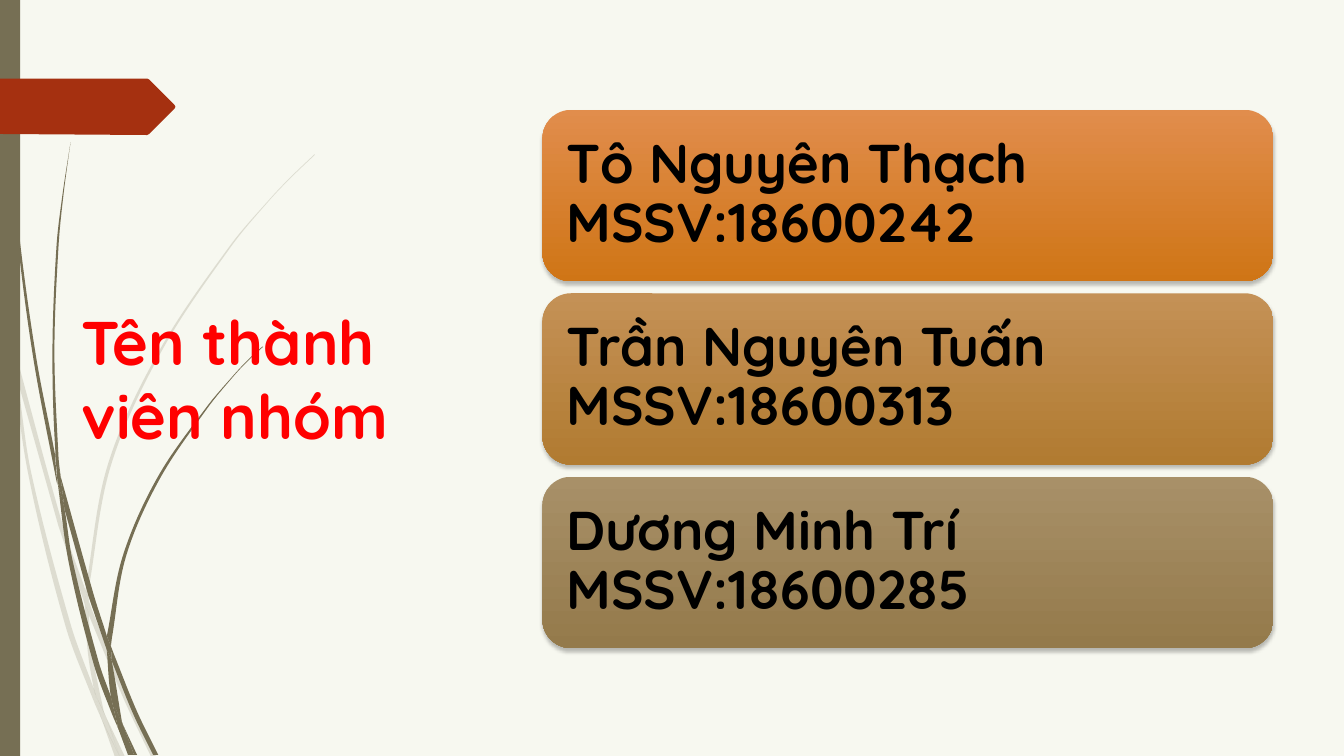
import math

from lxml import etree
from pptx import Presentation
from pptx import util as u
from pptx.dml.color import RGBColor
from pptx.enum import shapes, text
from pptx.oxml import ns

CREAM = RGBColor(0xF7, 0xF8, 0xF0)
OLIVE = RGBColor(0x76, 0x6F, 0x54)
RUST = RGBColor(0xA5, 0x30, 0x10)
RED = RGBColor(0xFF, 0x00, 0x00)
BLACK = RGBColor(0x00, 0x00, 0x00)
FONT = "Quicksand"

PALE_BLADES = [
    [[(.11, 3.5), (.09, 3.22), (0, 2.82)], [(0, 2.99), (.1, 3.44), (.11, 3.5)]],
    [[(.58, 5.22), (.84, 5.99)], [(.85, 5.86), (.62, 5.2), (.14, 3.45)],
     [(.17, 3.76), (.58, 5.22)]],
    [[(.92, 6.07), (.88, 5.96)], [(.88, 6.1), (1.23, 6.94), (1.5, 7.51)],
     [(1.55, 7.51), (1.27, 6.92), (.92, 6.07)]],
    [[(1.19, 7.51), (1.24, 7.51)], [(1.05, 7.11), (1.19, 7.51)]],
    [[(.93, 6.83), (.7, 6.19), (.31, 4.69), (.17, 3.76), (.11, 3.5)],
     [(.11, 3.5), (.28, 4.7), (.65, 6.21), (.92, 6.93), (1.01, 7.14)],
     [(1.01, 7.14), (.99, 7.07), (.93, 6.83)]],
    [[(.84, 5.99), (.87, 6.46), (.93, 6.83), (.96, 6.92), (1.05, 7.11)],
     [(1.05, 7.11), (1.03, 7.06), (.91, 6.46), (.88, 6.1), (.88, 6.08), (.84, 5.99)]],
    [[(.88, 5.84), (1.1, 4.62), (1.6, 3.49), (2.29, 2.45), (2.68, 1.98), (2.9, 1.75),
      (3.12, 1.54)],
     [(3.12, 1.53), (2.89, 1.75), (2.68, 1.97), (2.28, 2.44), (1.58, 3.48), (1.07, 4.61),
      (.85, 5.84), (.85, 5.86)], [(.88, 5.96), (.88, 5.84)]],
    [[(1.01, 7.14), (1.14, 7.51)], [(1.19, 7.51), (1.01, 7.14)]],
    [[(.88, 6.08), (.88, 6.1), (.88, 5.96)], [(.85, 5.86), (.84, 5.99)],
     [(.84, 5.99), (.88, 6.08)]],
    [[(.96, 6.92), (.93, 6.83)], [(.93, 6.83), (.99, 7.07), (1.01, 7.14), (1.19, 7.51)],
     [(1.19, 7.51), (1.05, 7.11), (.96, 6.92)]],
]
OLIVE_BLADES = [
    [[(.07, 1.1), (.17, 2.33), (.33, 3.55), (.56, 4.77), (.57, 4.81)],
     [(.57, 4.81), (.55, 4.57), (.55, 4.53), (.36, 3.55), (.19, 2.32), (.08, 1.09),
      (.05, .48), (.04, 0)], [(.03, 0), (.04, .48), (.07, 1.1)]],
    [[(.88, 5.92), (1.06, 6.45)], [(1.06, 6.33), (1.06, 6.31), (.93, 5.9), (.6, 4.72)],
     [(.64, 5.05), (.88, 5.92)]],
    [[(1.13, 6.49), (1.1, 6.41)], [(1.11, 6.56), (1.32, 7.08), (1.52, 7.49)],
     [(1.57, 7.49), (1.36, 7.06), (1.13, 6.49)]],
    [[(1.1, 6.91), (.98, 6.57), (.72, 5.56), (.64, 5.05), (.57, 4.77)],
     [(.57, 4.77), (.68, 5.57), (.93, 6.59), (1.11, 7.08), (1.17, 7.22)],
     [(1.17, 7.22), (1.16, 7.17), (1.1, 6.91)]],
    [[(.6, 4.72), (.58, 4.53), (.54, 3.49), (.58, 2.45), (.63, 1.93), (.7, 1.41)],
     [(.7, 1.41), (.62, 1.93), (.56, 2.45), (.52, 3.49), (.55, 4.49), (.6, 4.72)]],
    [[(1.33, 7.49), (1.36, 7.49)], [(1.22, 7.19), (1.33, 7.49)]],
    [[(.57, 4.77), (.64, 5.05)], [(.6, 4.72), (.55, 4.49)], [(.55, 4.53), (.57, 4.77)]],
    [[(1.11, 6.33), (1.25, 5.52), (1.58, 4.76), (2.05, 4.06), (2.31, 3.74), (2.45, 3.59),
      (2.61, 3.44)],
     [(2.6, 3.44), (2.45, 3.58), (2.31, 3.73), (2.04, 4.05), (1.56, 4.74), (1.22, 5.51),
      (1.06, 6.31)], [(1.1, 6.41), (1.11, 6.33)]],
    [[(1.17, 7.22), (1.27, 7.49)], [(1.31, 7.49), (1.17, 7.22)]],
    [[(1.06, 6.45), (1.1, 6.91), (1.16, 7.06), (1.22, 7.19)],
     [(1.22, 7.19), (1.21, 7.16), (1.11, 6.56), (1.09, 6.51), (1.06, 6.45)]],
    [[(1.06, 6.45), (1.09, 6.51), (1.11, 6.56)], [(1.1, 6.41), (1.06, 6.31)],
     [(1.06, 6.33), (1.06, 6.45)]],
    [[(1.16, 7.06), (1.1, 6.91)], [(1.1, 6.91), (1.16, 7.17), (1.17, 7.22), (1.3, 7.49)],
     [(1.33, 7.49), (1.22, 7.19), (1.16, 7.06)]],
]
TAG = [(0, .78), (1.46, .78), (1.48, .79), (1.73, 1.04), (1.74, 1.06), (1.73, 1.08),
       (1.48, 1.33), (1.46, 1.34), (0, 1.33)]
MEMBERS = [
    ("Tô Nguyên Thạch MSSV:18600242", RGBColor(0xE1, 0x8D, 0x4C), RGBColor(0xCF, 0x75, 0x16)),
    ("Trần Nguyên Tuấn MSSV:18600313", RGBColor(0xC4, 0x91, 0x56), RGBColor(0xB1, 0x7B, 0x31)),
    ("Dương Minh Trí MSSV:18600285", RGBColor(0xA8, 0x90, 0x68), RGBColor(0x94, 0x7A, 0x4B)),
]


def paint(sp, color):
    sp.shadow.inherit = False
    sp.fill.solid()
    sp.fill.fore_color.rgb = color
    sp.line.fill.background()


def add_alpha(color, percent):
    etree.SubElement(color, ns.qn("a:alpha"), val=str(percent * 1000))


def add_outline(s, points, color):
    corners = [(u.Inches(x), u.Inches(y)) for x, y in points]
    builder = s.shapes.build_freeform(*corners[0])
    builder.add_line_segments(corners[1:])
    sp = builder.convert_to_shape()
    paint(sp, color)
    return sp


def handle(start, end, before, after):
    pull = math.dist(start, end) / 3 / (math.dist(before, after) or 1)
    return [p + (b - a) * pull for p, a, b in zip(start, before, after)]


def edge_handles(edge):
    padded = [edge[0], *edge, edge[-1]]
    return [(handle(b, c, a, c), handle(c, b, d, b))
            for a, b, c, d in zip(padded, padded[1:], padded[2:], padded[3:])]


def add_blade(s, edges, color, opacity):
    points, handles = list(edges[0]), edge_handles(edges[0])
    for edge in edges[1:]:
        joined = edge[0] == points[-1]
        points += edge[joined:]
        handles += ([] if joined else [None]) + edge_handles(edge)
    sp = add_outline(s, points, color)
    for line, pair in zip(list(sp._element.iter(ns.qn("a:lnTo"))), handles):
        if pair:
            line.tag = ns.qn("a:cubicBezTo")
            for i, (x, y) in enumerate(pair):
                pt = etree.Element(ns.qn("a:pt"), x=str(u.Inches(x) - sp.left),
                                   y=str(u.Inches(y) - sp.top))
                line.insert(i, pt)
    if opacity < 100:
        add_alpha(sp._element.spPr.find(ns.qn("a:solidFill"))[0], opacity)


def add_block(s, kind, x, y, w, h, color):
    sp = s.shapes.add_shape(kind, u.Inches(x), u.Inches(y), u.Inches(w), u.Inches(h))
    paint(sp, color)
    return sp


def add_words(s, x, y, w, h, words, size, color):
    sp = s.shapes.add_textbox(u.Inches(x), u.Inches(y), u.Inches(w), u.Inches(h))
    tf = sp.text_frame
    tf.word_wrap = True
    tf.vertical_anchor = text.MSO_ANCHOR.MIDDLE
    r = tf.paragraphs[0].add_run()
    r.text = words
    r.font.name = FONT
    r.font.size = u.Pt(size)
    r.font.bold = True
    r.font.color.rgb = color
    return tf


def add_soft_shadow(sp):
    effects = sp._element.spPr.find(ns.qn("a:effectLst"))
    shadow = etree.SubElement(effects, ns.qn("a:outerShdw"), blurRad=str(u.Pt(3)),
                              dist=str(u.Pt(2)), dir="5400000", rotWithShape="0")
    add_alpha(etree.SubElement(shadow, ns.qn("a:srgbClr"), val=str(BLACK)), 25)


def add_member_card(s, y, words, top_color, bottom_color):
    sp = add_block(s, shapes.MSO_SHAPE.ROUNDED_RECTANGLE, 5.38, y, 7.25, 1.7, top_color)
    sp.fill.gradient()
    sp.fill.gradient_angle = 270
    for stop, position, color in zip(sp.fill.gradient_stops, (0, 1), (top_color, bottom_color)):
        stop.position = position
        stop.color.rgb = color
    add_soft_shadow(sp)
    tf = add_words(s, 5.46, y + .08, 7.08, 1.53, words, 39, BLACK)
    tf.margin_left = tf.margin_right = tf.margin_top = tf.margin_bottom = u.Inches(.16)
    tf.paragraphs[0].line_spacing = .9


def main():
    prs = Presentation()
    prs.slide_width, prs.slide_height = u.Inches(13.33), u.Inches(7.5)
    s = prs.slides.add_slide(prs.slide_layouts[6])
    s.background.fill.solid()
    s.background.fill.fore_color.rgb = CREAM
    for blades, opacity in ((PALE_BLADES, 20), (OLIVE_BLADES, 100)):
        for edges in blades:
            add_blade(s, edges, OLIVE, opacity)
    add_block(s, shapes.MSO_SHAPE.RECTANGLE, 0, 0, .2, 7.5, OLIVE)
    add_outline(s, TAG, RUST)
    add_words(s, .71, 1.51, 3.88, 4.48, "Tên thành viên nhóm", 44, RED)
    for i, member in enumerate(MEMBERS):
        add_member_card(s, 1.09 + 1.82 * i, *member)
    prs.save("out.pptx")


if __name__ == "__main__":
    main()
